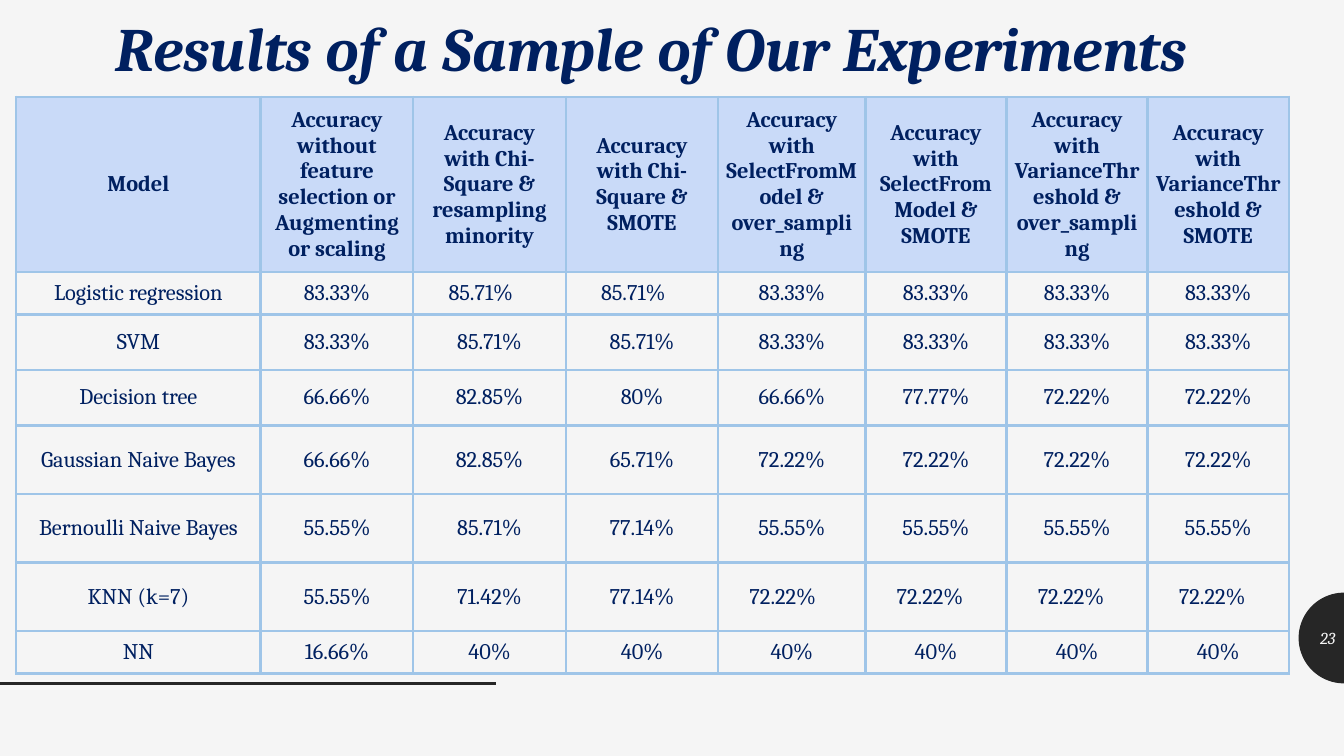
from math import cos, pi, sin

from lxml.etree import SubElement
from pptx import Presentation
from pptx.dml.color import RGBColor
from pptx.enum.shapes import MSO_CONNECTOR
from pptx.enum.text import MSO_ANCHOR, PP_ALIGN
from pptx.oxml.ns import qn
from pptx.util import Inches, Pt

PAPER = RGBColor(0xF5, 0xF5, 0xF5)
CHARCOAL = RGBColor(0x26, 0x26, 0x26)
NAVY = RGBColor(0x00, 0x20, 0x60)
HEADER_BLUE = RGBColor(0xC9, 0xDA, 0xF8)
GRID_BLUE = RGBColor(0x9F, 0xC5, 0xE8)

HEADERS = [
    "Model",
    "Accuracy without feature selection or Augmenting or scaling",
    "Accuracy with Chi-Square & resampling minority",
    "Accuracy with Chi-Square & SMOTE",
    "Accuracy with SelectFromModel & over_sampling",
    "Accuracy with SelectFromModel & SMOTE",
    "Accuracy with VarianceThreshold & over_sampling",
    "Accuracy with VarianceThreshold & SMOTE",
]
RESULTS = [
    ["Logistic regression", 83.33, 85.71, 85.71, 83.33, 83.33, 83.33, 83.33],
    ["SVM", 83.33, 85.71, 85.71, 83.33, 83.33, 83.33, 83.33],
    ["Decision tree", 66.66, 82.85, 80, 66.66, 77.77, 72.22, 72.22],
    ["Gaussian Naive Bayes", 66.66, 82.85, 65.71, 72.22, 72.22, 72.22, 72.22],
    ["Bernoulli Naive Bayes", 55.55, 85.71, 77.14, 55.55, 55.55, 55.55, 55.55],
    ["KNN (k=7)", 55.55, 71.42, 77.14, 72.22, 72.22, 72.22, 72.22],
    ["NN", 16.66, 40, 40, 40, 40, 40, 40],
]
# Table tracks, in percent of the slide's width and height
COLUMN_SHARES = [18.2] + [11.35] * 3 + [10.95] + [10.5] * 3
ROW_SHARES = [22.3, 5.6] + [7.35] * 2 + [9.07] * 3 + [5.6]
# Left-aligned cells: (row, column) to left margin in inches
INDENTS = {(1, 2): 0.35, (1, 3): 0.35}
INDENTS.update({(6, column): 0.31 for column in range(4, 8)})


def write(frame, text, size=16, color=NAVY, bold=False, italic=False,
          align=PP_ALIGN.CENTER, spacing=None):
    para = frame.paragraphs[0]
    para.alignment = align
    para.line_spacing = spacing
    span = para.add_run()
    span.text = text
    font = span.font
    font.name, font.size = "Cambria", Pt(size)
    font.bold, font.italic = bold, italic
    font.color.rgb = color


class SlideBuilder:
    """Holds the deck and its slide; lengths are percent of the slide's size."""

    def __init__(self, width, height):
        self.deck = Presentation()
        self.deck.slide_width = Inches(width)
        self.deck.slide_height = Inches(height)
        self.page = self.deck.slides.add_slide(self.deck.slide_layouts[6])
        background = self.page.background.fill
        background.solid()
        background.fore_color.rgb = PAPER

    def across(self, share):
        return round(self.deck.slide_width * share / 100)

    def down(self, share):
        return round(self.deck.slide_height * share / 100)

    def text(self, left, top, width, height, text, **style):
        box = self.page.shapes.add_textbox(
            self.across(left), self.down(top), self.across(width), self.down(height))
        box.text_frame.word_wrap = True
        box.text_frame.vertical_anchor = MSO_ANCHOR.MIDDLE
        write(box.text_frame, text, **style)

    def half_disc(self, middle, radius, steps=48):
        """A disc cut by the right edge of the slide."""
        edge, center, reach = self.across(100), self.down(middle), self.down(radius)
        angles = [pi * step / steps for step in range(steps + 1)]
        points = [(round(edge - reach * sin(angle)), round(center - reach * cos(angle)))
                  for angle in angles]
        outline = self.page.shapes.build_freeform(*points[0])
        outline.add_line_segments(points[1:], close=True)
        disc = outline.convert_to_shape()
        disc.shadow.inherit = False
        disc.fill.solid()
        disc.fill.fore_color.rgb = CHARCOAL
        disc.line.fill.background()

    def rule(self, left, right, top):
        line = self.page.shapes.add_connector(
            MSO_CONNECTOR.STRAIGHT, self.across(left), self.down(top),
            self.across(right), self.down(top))
        line.line.color.rgb = CHARCOAL
        line.line.width = Pt(2)
        SubElement(line._element.spPr, qn("a:effectLst"))

    def cell(self, cell, text, fill, indent=None, bold=False):
        # Borders come before the fill in the cell's properties
        properties = cell._tc.get_or_add_tcPr()
        for side in ("lnL", "lnR", "lnT", "lnB"):
            border = SubElement(properties, qn(f"a:{side}"), w=str(Pt(2)))
            paint = SubElement(border, qn("a:solidFill"))
            SubElement(paint, qn("a:srgbClr"), val=str(GRID_BLUE))
        cell.fill.solid()
        cell.fill.fore_color.rgb = fill
        cell.margin_top = cell.margin_right = cell.margin_bottom = Inches(0.07)
        cell.margin_left = Inches(indent or 0.07)
        cell.vertical_anchor = MSO_ANCHOR.MIDDLE
        align = PP_ALIGN.LEFT if indent else PP_ALIGN.CENTER
        write(cell.text_frame, text, bold=bold, align=align)

    def table(self, left, top, rows):
        frame = self.page.shapes.add_table(
            len(rows), len(rows[0]), self.across(left), self.down(top),
            self.across(sum(COLUMN_SHARES)), self.down(sum(ROW_SHARES)))
        table = frame.table
        table.first_row = table.horz_banding = False
        for column, share in zip(table.columns, COLUMN_SHARES):
            column.width = self.across(share)
        for row, share in zip(table.rows, ROW_SHARES):
            row.height = self.down(share)
        for r, values in enumerate(rows):
            for c, value in enumerate(values):
                text = value if isinstance(value, str) else f"{value}%"
                self.cell(table.cell(r, c), text, PAPER if r else HEADER_BLUE,
                          indent=INDENTS.get((r, c)), bold=r == 0)


def main():
    slide = SlideBuilder(13.33, 7.5)

    # Page number and footer rule
    slide.half_disc(middle=84.4, radius=6)
    slide.rule(left=0, right=36.9, top=90.4)
    slide.text(96.7, 81.73, 3.38, 5.33, "23", size=12, color=PAPER,
               italic=True, align=PP_ALIGN.RIGHT)

    # Title
    slide.text(5.33, -4.67, 86.35, 22.93, "Results of a Sample of Our Experiments",
               size=44, bold=True, italic=True, spacing=0.9)

    # Accuracy of each model
    slide.table(1.2, 12.8, [HEADERS] + RESULTS)

    slide.deck.save("out.pptx")


if __name__ == "__main__":
    main()
